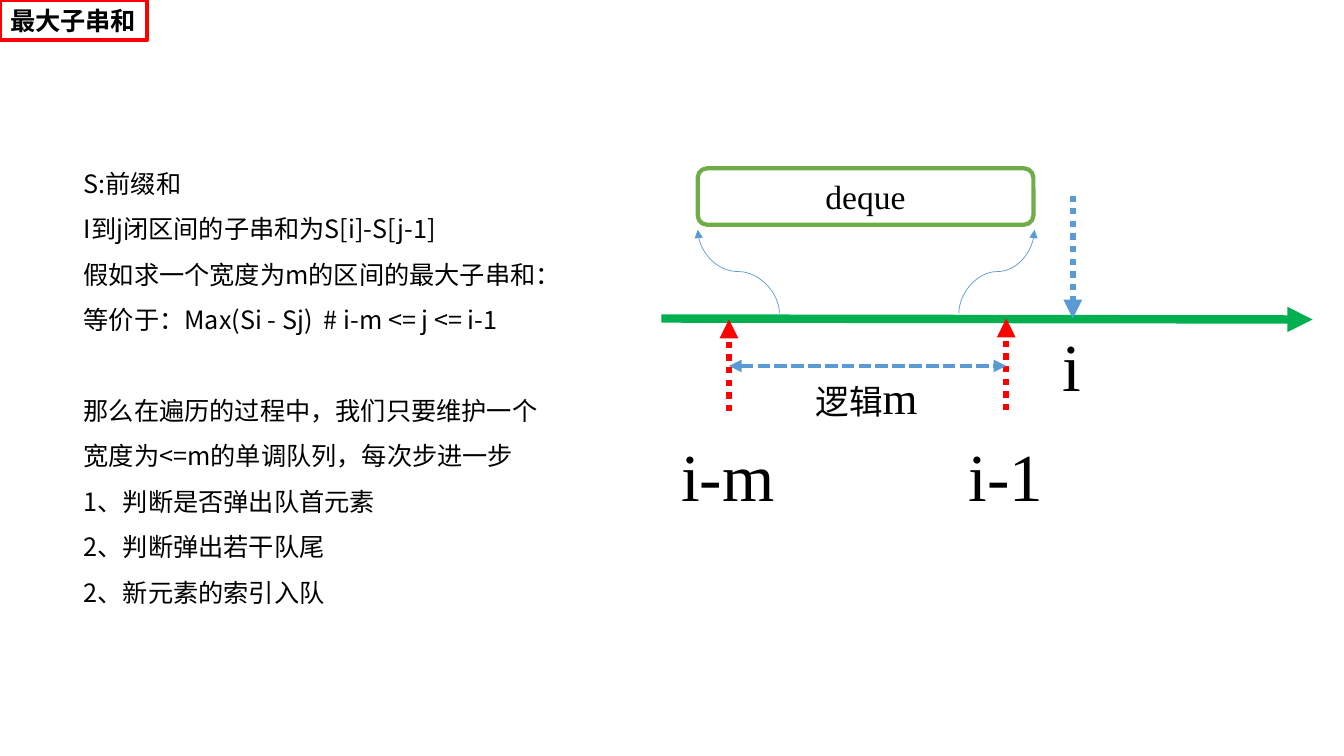
from lxml import etree
from pptx import Presentation
from pptx.dml.color import RGBColor
from pptx.enum.dml import MSO_LINE
from pptx.enum.shapes import MSO_CONNECTOR, MSO_SHAPE
from pptx.enum.text import MSO_ANCHOR, MSO_AUTO_SIZE, PP_ALIGN
from pptx.oxml.ns import qn
from pptx.util import Inches, Pt

BLACK = RGBColor(0x00, 0x00, 0x00)
WHITE = RGBColor(0xFF, 0xFF, 0xFF)
RED = RGBColor(0xFF, 0x00, 0x00)
GREEN = RGBColor(0x00, 0xB0, 0x50)
OLIVE = RGBColor(0x70, 0xAD, 0x47)
BLUE = RGBColor(0x5B, 0x9B, 0xD5)
HAN_FONT = "Noto Sans CJK SC"
LATIN_FONT = "Times New Roman"
STRAIGHT, CURVE = MSO_CONNECTOR.STRAIGHT, MSO_CONNECTOR.CURVE
DOTS, DASHES = MSO_LINE.ROUND_DOT, MSO_LINE.SQUARE_DOT
ROUNDED = MSO_SHAPE.ROUNDED_RECTANGLE
TOP, MIDDLE = MSO_ANCHOR.TOP, MSO_ANCHOR.MIDDLE
LEFT, CENTER = PP_ALIGN.LEFT, PP_ALIGN.CENTER
NO_AUTOFIT = MSO_AUTO_SIZE.NONE

TITLE = "最大子串和"
EXPLANATION = [
    "S:前缀和",
    "I到j闭区间的子串和为S[i]-S[j-1]",
    "假如求一个宽度为m的区间的最大子串和：",
    "等价于：Max(Si - Sj)  # i-m <= j <= i-1",
]
STEPS = [
    "那么在遍历的过程中，我们只要维护一个",
    "宽度为<=m的单调队列，每次步进一步",
    "1、判断是否弹出队首元素",
    "2、判断弹出若干队尾",
    "2、新元素的索引入队",
]
WINDOW_START, WINDOW_END, CURRENT = 7.23, 9.98, 10.64
AXIS_Y, SPAN_Y = 3.16, 3.63
DEQUE = (6.92, 1.67, 3.33, 0.56)
LABELS = [
    ((10.44, 3.17, 0.39, 0.91), [("i", 48)]),
    ((9.51, 4.26, 0.95, 0.91), [("i-1", 48)]),
    ((6.66, 4.26, 1.14, 0.91), [("i-m", 48)]),
    ((7.99, 3.62, 1.69, 0.64), [("逻辑", 24), ("m", 32)]),
]
ARROWS = [
    ((6.56, AXIS_Y), (13.02, AXIS_Y + 0.01), GREEN, 6, None, False),
    ((CURRENT, 1.94), (CURRENT, AXIS_Y), BLUE, 4.5, DOTS, False),
    ((WINDOW_START, 4.08), (WINDOW_START, 3.17), RED, 4.5, DOTS, False),
    ((WINDOW_END, 4.07), (WINDOW_END, AXIS_Y), RED, 4.5, DOTS, False),
    ((WINDOW_START, SPAN_Y), (WINDOW_END, SPAN_Y), BLUE, 3, DASHES, True),
]
CURVES = [((7.73, 3.11), (6.92, 2.28)), ((9.51, 3.11), (10.26, 2.28))]


def place(shape, box):
    shape.left, shape.top, shape.width, shape.height = map(Inches, box)


def style_span(span, size, font, bold=False):
    span.font.size = Pt(size)
    span.font.name = font
    span.font.bold = bold
    span.font.color.rgb = BLACK
    east_asian = etree.Element(qn("a:ea"), typeface=HAN_FONT)
    span.font._element.find(qn("a:latin")).addnext(east_asian)


def prepare_frame(frame, wrap=False, anchor=TOP):
    frame.word_wrap = wrap
    frame.auto_size = NO_AUTOFIT
    frame.vertical_anchor = anchor


def draw_connector(kind, start, end, color, width, dash=None, both_ends=False):
    connector = slide.shapes.add_connector(kind, *map(Inches, start + end))
    connector.line.color.rgb = color
    connector.line.width = Pt(width)
    if dash:
        connector.line.dash_style = dash
    line = connector.line._get_or_add_ln()
    for tag in ["a:headEnd", "a:tailEnd"] if both_ends else ["a:tailEnd"]:
        etree.SubElement(line, qn(tag), type="triangle")
    etree.SubElement(connector._element.spPr, qn("a:effectLst"))
    return connector


def draw_rising_curve(start, end):
    middle_x, middle_y = (start[0] + end[0]) / 2, (start[1] + end[1]) / 2
    half_run, half_rise = abs(end[0] - start[0]) / 2, (start[1] - end[1]) / 2
    side = 1 if end[0] > start[0] else -1
    curve = draw_connector(
        CURVE,
        (middle_x + side * half_rise, middle_y + half_run),
        (middle_x - side * half_rise, middle_y - half_run),
        BLUE, 0.5,
    )
    rotation = 90 if side > 0 else 270
    curve._element.spPr.find(qn("a:xfrm")).set("rot", str(rotation * 60000))


deck = Presentation()
deck.slide_width, deck.slide_height = Inches(13.33), Inches(7.5)
slide = deck.slides.add_slide(deck.slide_layouts[1])
title, body = slide.placeholders

place(title, (0, 0, 1.46, 0.4))
title.line.color.rgb = RED
title.line.width = Pt(3)
title.text_frame.text = TITLE
prepare_frame(title.text_frame)
title.text_frame.paragraphs[0].alignment = LEFT
style_span(title.text_frame.paragraphs[0].runs[0], 18, HAN_FONT, True)

place(body, (0.73, 1.47, 4.95, 4.64))
body.text_frame.text = "\n".join(EXPLANATION + STEPS)
prepare_frame(body.text_frame)
for index, para in enumerate(body.text_frame.paragraphs):
    para.line_spacing = 1.5
    para.space_before = Pt(32.6 if index == len(EXPLANATION) else 0)
    properties = para._p.get_or_add_pPr()
    properties.set("marL", "0")
    properties.set("indent", "0")
    etree.SubElement(properties, qn("a:buNone"))
    style_span(para.runs[0], 18, HAN_FONT)

for arrow in ARROWS:
    draw_connector(STRAIGHT, *arrow)

for box, spans in LABELS:
    label = slide.shapes.add_textbox(*map(Inches, box))
    prepare_frame(label.text_frame, wrap=len(spans) > 1)
    for text, size in spans:
        span = label.text_frame.paragraphs[0].add_run()
        span.text = text
        style_span(span, size, LATIN_FONT)

deque_box = slide.shapes.add_shape(ROUNDED, *map(Inches, DEQUE))
deque_box.shadow.inherit = False
deque_box.fill.solid()
deque_box.fill.fore_color.rgb = WHITE
deque_box.line.color.rgb = OLIVE
deque_box.line.width = Pt(3)
deque_box.text_frame.text = "deque"
prepare_frame(deque_box.text_frame, wrap=True, anchor=MIDDLE)
deque_box.text_frame.paragraphs[0].alignment = CENTER
style_span(deque_box.text_frame.paragraphs[0].runs[0], 24, LATIN_FONT)

for start, end in CURVES:
    draw_rising_curve(start, end)

deck.save("out.pptx")
